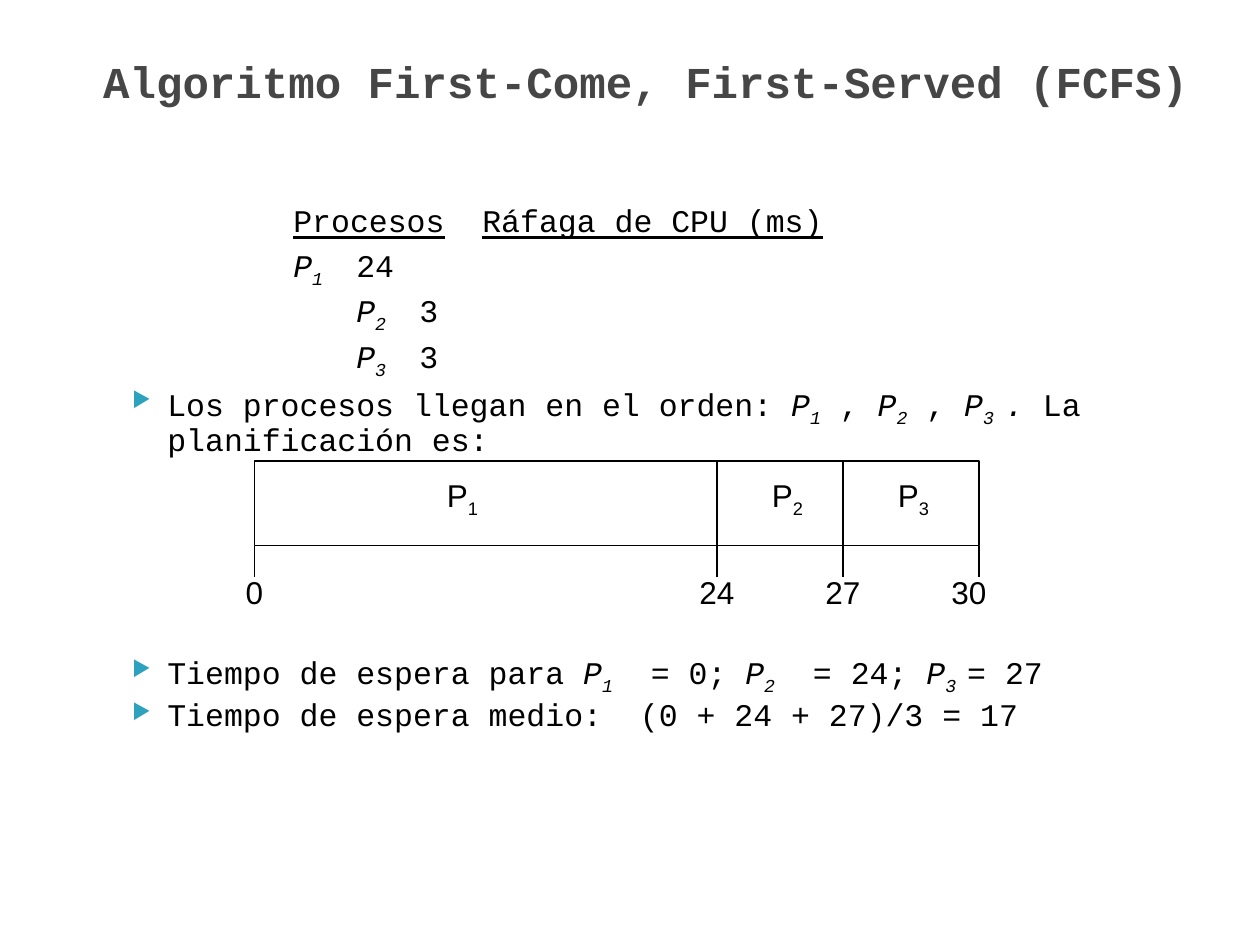
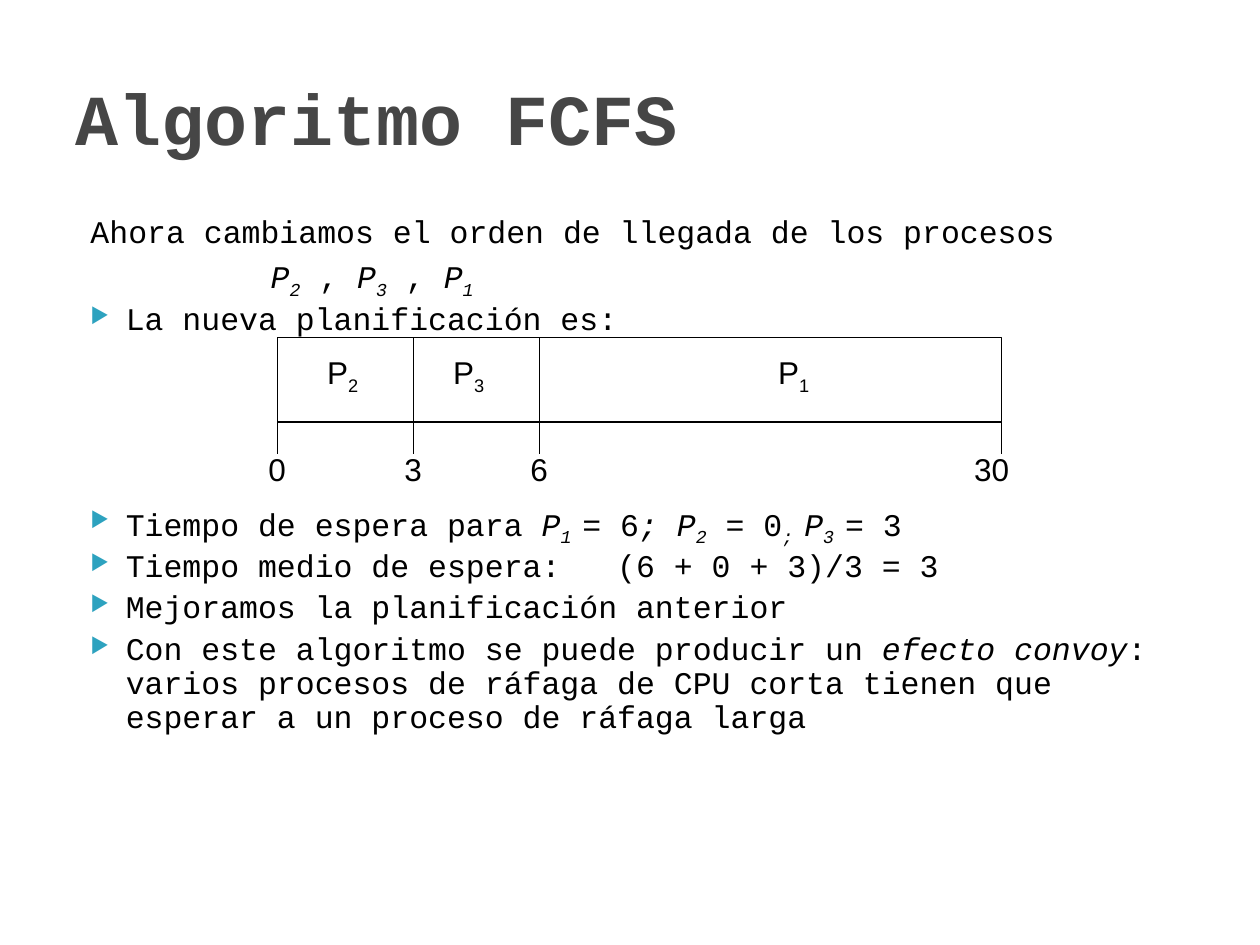
from lxml.etree import SubElement
from pptx import Presentation
from pptx.dml.color import RGBColor
from pptx.enum.shapes import MSO_CONNECTOR as Connector, MSO_SHAPE as Shape
from pptx.enum.text import MSO_ANCHOR as Anchor, PP_ALIGN as Align
from pptx.oxml.ns import qn
from pptx.util import Inches, Pt

BLACK = RGBColor(0, 0, 0)
WHITE = RGBColor(255, 255, 255)
GRAY = RGBColor(0x46, 0x46, 0x46)
TEAL = RGBColor(0x2D, 0xA2, 0xBF)
MONO = "Courier New"
SANS = "Arial"
TEXT_SIZE = 18
BAR_WIDTH, BAR_HEIGHT, TICK_HEIGHT = 5.75, 0.67, 0.25


def process(number, after=""):
    return [("P", "i"), (number + after, "is")]


class Deck:
    def __init__(self):
        self.deck = Presentation()
        self.deck.slide_width = Inches(10)
        self.deck.slide_height = Inches(7.5)
        self.page = None

    def add_page(self):
        self.page = self.deck.slides.add_slide(self.deck.slide_layouts[6])

    def frame(self, left, top, width, height, anchor=Anchor.TOP, wrap=True):
        box = self.page.shapes.add_textbox(
            Inches(left), Inches(top), Inches(width), Inches(height))
        box.text_frame.word_wrap = wrap
        box.text_frame.vertical_anchor = anchor
        return box.text_frame

    def spans(self, para, parts, font=MONO, size=TEXT_SIZE, color=BLACK):
        for text, style in parts:
            span = para.add_run()
            span.text = text
            span.font.name = font
            span.font.size = Pt(size)
            span.font.color.rgb = color
            span.font.bold = "b" in style
            span.font.italic = "i" in style
            span.font.underline = "u" in style
            properties = span.font._element
            if "s" in style:
                properties.set("baseline", "-25000")
            if "w" in style:
                properties.set("spc", str(1080 * style.count("w")))

    def title(self, text, size, left, top, width, height):
        frame = self.frame(left, top, width, height, Anchor.MIDDLE)
        self.spans(frame.paragraphs[0], [(text, "b")], size=size, color=GRAY)

    def body(self, left, top, width, height, rows):
        frame = self.frame(left, top, width, height)
        for index, (layout, parts) in enumerate(rows):
            para = frame.paragraphs[0] if index == 0 else frame.add_paragraph()
            self.layout(para, **layout)
            para.line_spacing = 0.9
            para.space_before = Pt(4 if index else 0)
            self.spans(para, parts)

    def layout(self, para, margin=0.4, indent=-0.28, bullet=False, tabs=()):
        properties = para._p.get_or_add_pPr()
        properties.set("marL", str(Inches(margin)))
        properties.set("indent", str(Inches(indent)))
        if bullet:
            color = SubElement(properties, qn("a:buClr"))
            SubElement(color, qn("a:srgbClr"), val=str(TEAL))
            SubElement(properties, qn("a:buSzPct"), val="68000")
            SubElement(properties, qn("a:buChar"), char="▶")
        else:
            SubElement(properties, qn("a:buNone"))
        if tabs:
            stops = SubElement(properties, qn("a:tabLst"))
            for stop in tabs:
                SubElement(stops, qn("a:tab"), pos=str(Inches(stop)), algn="l")

    def label(self, center, top, width, parts):
        frame = self.frame(center - width / 2, top, width, 0.4, Anchor.MIDDLE, False)
        para = frame.paragraphs[0]
        para.alignment = Align.CENTER
        self.spans(para, parts, font=SANS)

    def line(self, x, top, bottom):
        line = self.page.shapes.add_connector(
            Connector.STRAIGHT, Inches(x), Inches(top), Inches(x), Inches(bottom))
        line.line.color.rgb = BLACK
        line.line.width = Pt(0.75)
        SubElement(line._element.spPr, qn("a:effectLst"))

    def gantt(self, left, top, names, ticks):
        bar = self.page.shapes.add_shape(
            Shape.RECTANGLE, Inches(left), Inches(top), Inches(BAR_WIDTH), Inches(BAR_HEIGHT))
        bar.shadow.inherit = False
        bar.fill.solid()
        bar.fill.fore_color.rgb = WHITE
        bar.line.color.rgb = BLACK
        bar.line.width = Pt(0.75)
        bottom = top + BAR_HEIGHT
        for number, offset in names:
            self.label(left + offset, top + 0.09, 0.46, [("P", ""), (number, "s")])
        for time, offset in ticks:
            x = left + offset
            if 0 < offset < BAR_WIDTH:
                self.line(x, top, bottom)
            self.line(x, bottom, bottom + TICK_HEIGHT)
            shift = 0.08 if offset == BAR_WIDTH else 0
            self.label(x - shift, top + 0.84, 0.2 + 0.14 * len(time), [(time, "")])


def mirror(offsets):
    return [BAR_WIDTH - offset for offset in offsets]


def main():
    deck = Deck()
    bullet = {"bullet": True}
    name_offsets = [1.65, 4.23, 5.23]
    tick_offsets = [0, 3.67, 4.67, BAR_WIDTH]

    deck.add_page()
    deck.title("Algoritmo First-Come, First-Served (FCFS)", 25.2, 0.72, 0.39, 9.12, 0.5)
    flush = {"margin": 0, "indent": 0}
    deck.body(2.23, 1.58, 5.5, 1.4, [
        ({**flush, "tabs": (1, 2)},
         [("Procesos", "u"), ("\t", ""), ("Ráfaga de CPU (ms)", "u")]),
        ({**flush, "tabs": (1, 2)}, process("1") + [("\t24", "")]),
        ({**flush, "tabs": (0.15, 1)}, [("\t", "")] + process("2") + [("\t3", "")]),
        ({**flush, "tabs": (0.15, 1.09)}, [("\t", "")] + process("3") + [("\t3", "")]),
    ])
    deck.body(0.83, 3.01, 8.27, 0.65, [
        (bullet, [("Los procesos llegan en el orden: ", "")]
         + process("1") + [(" , ", "")] + process("2") + [(" , ", "")]
         + process("3", " ") + [(". ", "i"), ("La planificación es:", "")]),
    ])
    deck.body(0.83, 5.14, 8.27, 0.8, [
        (bullet, [("Tiempo de espera para ", "")]
         + process("1") + [(" ", "w"), ("= 0; ", "")]
         + process("2") + [(" ", "w"), ("= 24; ", "")]
         + process("3", " ") + [("= 27", "")]),
        (bullet, [("Tiempo de espera medio:", ""), (" ", "w"), ("(0 + 24 + 27)/3 = 17", "")]),
    ])
    deck.gantt(2.02, 3.66, zip("123", name_offsets),
               zip(["0", "24", "27", "30"], tick_offsets))

    deck.add_page()
    deck.title("Algoritmo FCFS", 41, 0.5, 0.3, 9, 1.25)
    deck.body(0.5, 1.67, 9, 1, [
        ({}, [("Ahora cambiamos el orden de llegada de los procesos", "")]),
        ({"margin": 1.55, "indent": 0},
         process("2") + [(" , ", "")] + process("3") + [(" , ", "")] + process("1")),
        (bullet, [("La nueva planificación es:", "")]),
    ])
    deck.body(0.5, 3.96, 9, 1.9, [
        (bullet, [("Tiempo de espera para ", "")]
         + process("1", " ") + [("=", "i"), (" 6", ""), ("; ", "i")]
         + process("2") + [(" = 0", ""), ("; ", "is")]
         + process("3", " ") + [("= ", "i"), ("3", "")]),
        (bullet, [("Tiempo medio de espera:", ""), (" ", "ww"), ("(6 + 0 + 3)/3 = 3", "")]),
        (bullet, [("Mejoramos la planificación anterior", "")]),
        (bullet, [("Con este algoritmo se puede producir un ", ""), ("efecto convoy", "i"),
                  (": varios procesos de ráfaga de CPU corta tienen que esperar "
                   "a un proceso de ráfaga larga", "")]),
    ])
    deck.gantt(2.2, 2.68, zip("132", mirror(name_offsets)),
               zip(["30", "6", "3", "0"], mirror(tick_offsets)))

    deck.deck.save("out.pptx")


if __name__ == "__main__":
    main()
